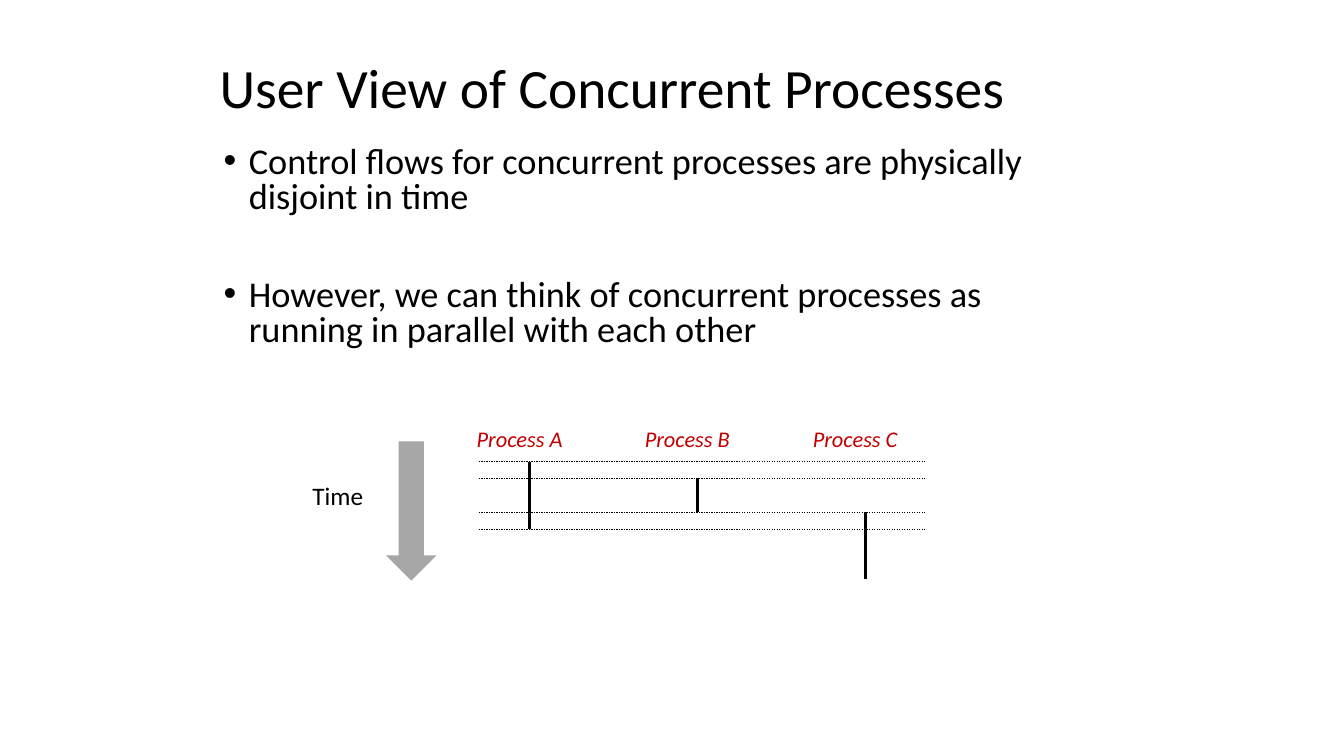
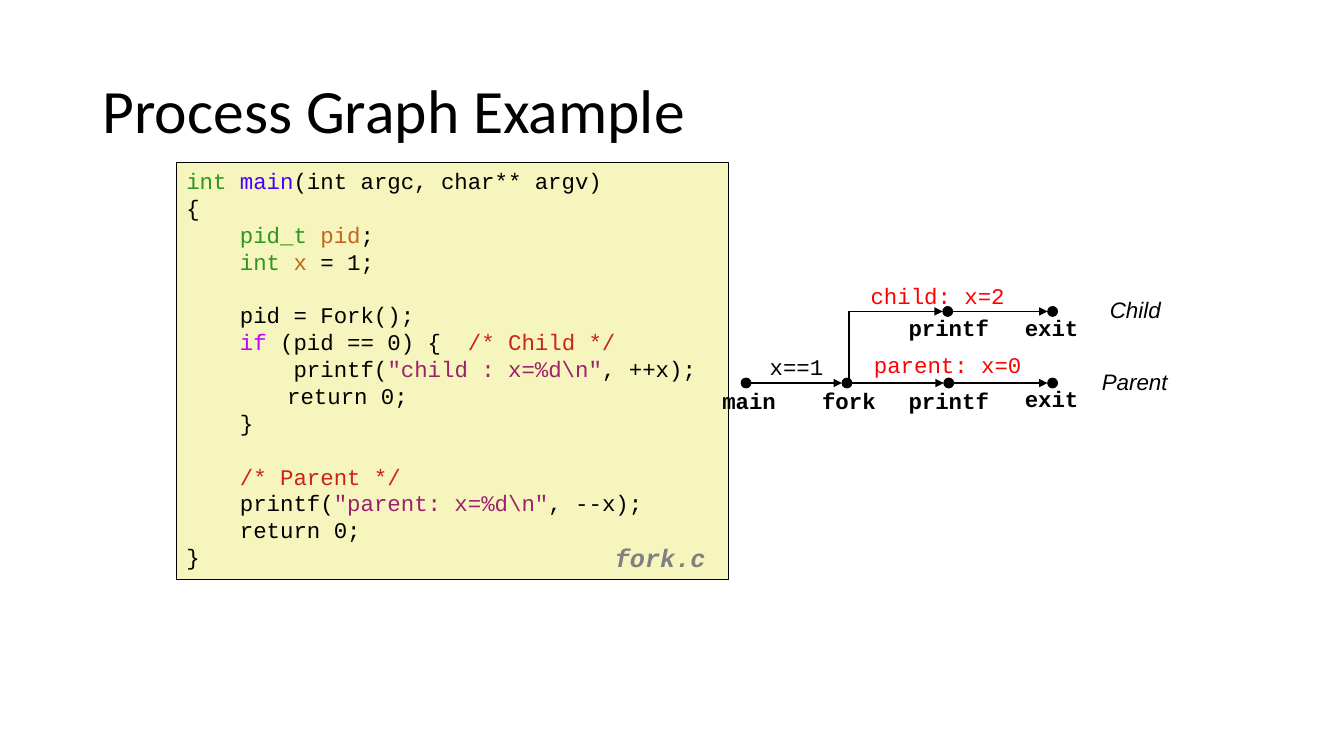
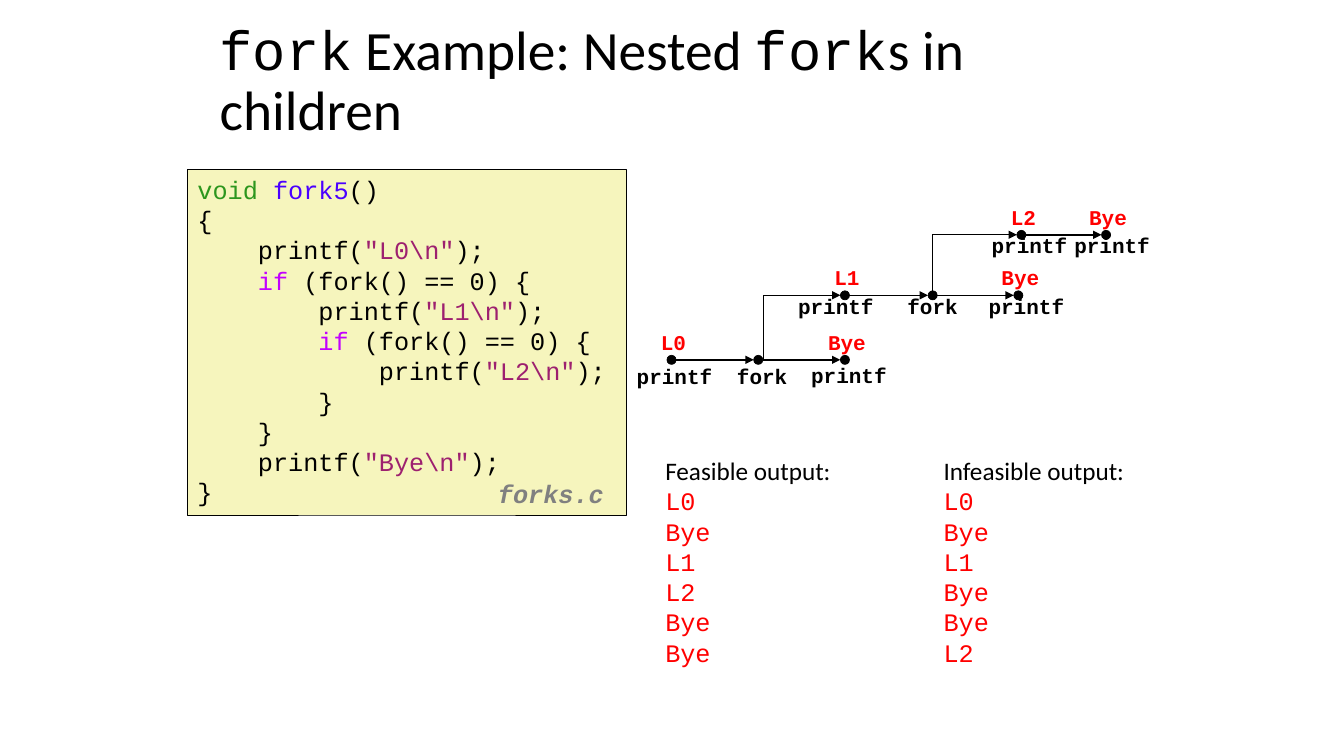
from lxml.etree import SubElement
from pptx import Presentation
from pptx.dml.color import RGBColor
from pptx.enum.dml import MSO_LINE
from pptx.enum.shapes import MSO_CONNECTOR as Link, MSO_SHAPE as Preset
from pptx.enum.text import MSO_ANCHOR as Anchor, PP_ALIGN as Align
from pptx.oxml.ns import qn
from pptx.util import Inches, Pt

SLIDE = (13.33, 7.5)
COLOURS = {
    "black": "000000", "label": "C00000", "arrow": "A6A6A6",
    "paper": "F6F5BD", "file": "808080", "output": "FF0000",
    "type": "2D961E", "function": "4A00FF", "variable": "C1651C",
    "keyword": "C200FF", "comment": "CB2418", "string": "9D206F",
}
SANS, MONO = "Calibri", "Courier New"

# Slide 1
BULLETS = [
    "Control flows for concurrent processes are physically disjoint in time",
    "However, we can think of concurrent processes as running in parallel with each other",
]
PROCESSES = [("Process A", 0, 4), ("Process B", 1, 3), ("Process C", 3, 7)]  # start, end
SWITCHES = [0, 1, 3, 4]
TIME_TOP, TIME_STEP = 4.58, 1 / 6
PROCESS_LEFT, PROCESS_GAP = 5.25, 5 / 3

# Code lines hold plain text or (role, text) pieces
FORK_CODE = [
    [("type", "int "), ("function", "main"), "(int argc, char** argv)"],
    ["{"],
    ["    ", ("type", "pid_t "), ("variable", "pid"), ";"],
    ["    ", ("type", "int "), ("variable", "x"), " = 1;"],
    [],
    ["    pid = Fork();"],
    ["    ", ("keyword", "if"), " (pid == 0) {  ", ("comment", "/* Child */")],
    ["        printf(", ("string", '"child : x=%d\\n"'), ", ++x);"],
    ["\treturn 0;"],
    ["    }"],
    [],
    ["    ", ("comment", "/* Parent */")],
    ["    printf(", ("string", '"parent: x=%d\\n"'), ", --x);"],
    ["    return 0;"],
    ["}"],
]
NESTED_CODE = [
    [("type", "void "), ("function", "fork5"), "()"],
    ["{"],
    ["    printf(", ("string", '"L0\\n"'), ");"],
    ["    ", ("keyword", "if"), " (fork() == 0) {"],
    ["        printf(", ("string", '"L1\\n"'), ");"],
    ["        ", ("keyword", "if"), " (fork() == 0) {"],
    ["            printf(", ("string", '"L2\\n"'), ");"],
    ["        }"],
    ["    }"],
    ["    printf(", ("string", '"Bye\\n"'), ");"],
    ["}"],
]

# Graph nodes: centre x, y, name, name centre x, name top, printed text
FORK_GRAPH = {
    "size": 16, "dot": 0.1,
    "nodes": {
        "main": (7.4, 3.8, "main", 7.43, 3.79, ""),
        "fork": (8.4, 3.8, "fork", 8.42, 3.79, ""),
        "parent": (9.41, 3.8, "printf", 9.41, 3.79, ""),
        "parent exit": (10.44, 3.8, "exit", 10.43, 3.77, ""),
        "child": (9.4, 3.09, "printf", 9.41, 3.07, ""),
        "child exit": (10.44, 3.09, "exit", 10.43, 3.07, ""),
    },
    "edges": [("main", "fork"), ("fork", "parent"), ("parent", "parent exit"),
              ("child", "child exit")],
    "bends": [("fork", "child", 8.42)],
}
NESTED_GRAPH = {
    "size": 15, "dot": 0.09,
    "nodes": {
        "L0": (6.66, 3.57, "printf", 6.69, 3.56, "L0"),
        "fork": (7.52, 3.57, "fork", 7.56, 3.56, ""),
        "bye": (8.38, 3.57, "printf", 8.42, 3.55, "Bye"),
        "L1": (8.38, 2.93, "printf", 8.29, 2.86, "L1"),
        "inner fork": (9.25, 2.93, "fork", 9.25, 2.86, ""),
        "inner bye": (10.1, 2.93, "printf", 10.18, 2.86, "Bye"),
        "L2": (10.13, 2.33, "printf", 10.21, 2.26, "L2"),
        "last bye": (10.97, 2.33, "printf", 11.03, 2.26, "Bye"),
    },
    "edges": [("L0", "fork"), ("fork", "bye"), ("L1", "inner fork"),
              ("inner fork", "inner bye"), ("L2", "last bye")],
    "bends": [("fork", "L1", 7.57), ("inner fork", "L2", 9.25)],
}
EDGE_NOTES = [("child: x=2", 9.3, 2.75, "output"), ("x==1", 7.9, 3.45, "black"),
              ("parent: x=0", 9.4, 3.43, "output")]
BRANCHES = [("Child", 10.91, 2.89), ("Parent", 10.83, 3.6)]
OUTPUTS = [
    ("Feasible output:", 6.5, ["L0", "Bye", "L1", "L2", "Bye", "Bye"]),
    ("Infeasible output:", 9.26, ["L0", "Bye", "L1", "Bye", "Bye", "L2"]),
]


def colour(name):
    return RGBColor.from_string(COLOURS[name])


def add_span(para, text, size, name=SANS, tint="black", **extra):
    span = para.add_run()
    span.text = text
    span.font.color.rgb = colour(tint)
    for key, value in {"size": Pt(size), "name": name, **extra}.items():
        setattr(span.font, key, value)


def next_para(frame, index, **layout):
    para = frame.add_paragraph() if index else frame.paragraphs[0]
    for key, value in layout.items():
        setattr(para, key, value)
    return para


def add_box(page, *place, wrap=True, anchor=Anchor.TOP):
    frame = page.shapes.add_textbox(*map(Inches, place)).text_frame
    frame.word_wrap, frame.vertical_anchor = wrap, anchor
    return frame


def add_label(page, text, left, top, size, layout=None, **font):
    """One unwrapped line that starts at the left."""
    frame = add_box(page, left, top, 1.4, 0.37, wrap=False)
    add_span(next_para(frame, 0, **(layout or {})), text, size, **font)


def add_centred(page, text, centre, top, size, **font):
    width = 2 if len(text) > 6 else 1.1
    frame = add_box(page, centre - width / 2, top, width, 0.37)
    add_span(next_para(frame, 0, alignment=Align.CENTER), text, size, name=MONO, **font)


def add_title(page, spans, size, *place):
    para = next_para(add_box(page, *place, anchor=Anchor.MIDDLE), 0, line_spacing=0.9)
    for text, font in spans:
        add_span(para, text, size, name=font)


def add_shape(page, preset, place, fill, line=0):
    shape = page.shapes.add_shape(preset, *map(Inches, place))
    shape.shadow.inherit = False
    shape.fill.solid()
    shape.fill.fore_color.rgb = colour(fill)
    if line:
        shape.line.color.rgb = colour("black")
        shape.line.width = Pt(line)
    else:
        shape.line.fill.background()
    return shape


def add_line(page, start, end, width=1, kind=Link.STRAIGHT, dash=None, arrow=False):
    link = page.shapes.add_connector(kind, *map(Inches, (*start, *end)))
    link.line.color.rgb = colour("black")
    link.line.width = Pt(width)
    if dash:
        link.line.dash_style = dash
    props = link._element.spPr
    if arrow:
        SubElement(props.find(qn("a:ln")), qn("a:tailEnd"), type="triangle")
    SubElement(props, qn("a:effectLst"))
    return link


def add_bend(page, start, end):
    """Arrow that goes up, then right: a one-corner connector turned a quarter."""
    (x1, y1), (x2, y2) = start, end
    middle_x, middle_y = (x1 + x2) / 2, (y1 + y2) / 2
    half_w, half_h = (y1 - y2) / 2, (x2 - x1) / 2
    link = add_line(page, (middle_x + half_w, middle_y + half_h),
                    (middle_x - half_w, middle_y - half_h), kind=Link.ELBOW, arrow=True)
    props = link._element.spPr
    props.find(qn("a:prstGeom")).set("prst", "bentConnector2")
    props.find(qn("a:xfrm")).set("rot", str(90 * 60000))


def add_code(page, lines, size, place, file_name, file_left, file_top):
    frame = add_shape(page, Preset.RECTANGLE, place, "paper", 0.25).text_frame
    frame.word_wrap, frame.vertical_anchor = False, Anchor.TOP
    for index, line in enumerate(lines):
        para = next_para(frame, index, alignment=Align.LEFT)
        tabs = SubElement(para._p.get_or_add_pPr(), qn("a:tabLst"))
        SubElement(tabs, qn("a:tab"), pos=str(Inches(1)), algn="l")
        for piece in line:
            tint, text = ("black", piece) if isinstance(piece, str) else piece
            add_span(para, text, size, name=MONO, tint=tint)
        if not line:
            end = SubElement(para._p, qn("a:endParaRPr"), sz=str(size * 100))
            SubElement(end, qn("a:latin"), typeface=MONO)
    add_label(page, file_name, file_left, file_top, 18, {"line_spacing": 0.94},
              name=MONO, tint="file", bold=True, italic=True)


def add_graph(page, graph):
    nodes, dot, size = graph["nodes"], graph["dot"], graph["size"]
    radius = dot / 2
    for x, y, name, name_x, name_top, printed in nodes.values():
        add_shape(page, Preset.OVAL, (x - radius, y - radius, dot, dot), "black", 0.5)
        add_centred(page, name, name_x, name_top, size, bold=True)
        if printed:
            add_centred(page, printed, x + 0.02, y - 0.35, size, tint="output", bold=True)
    for source, target in graph["edges"]:
        (x1, y1), (x2, y2) = nodes[source][:2], nodes[target][:2]
        add_line(page, (x1 + radius, y1), (x2 - radius, y2), arrow=True)
    for source, target, bend_x in graph["bends"]:
        x2, y2 = nodes[target][:2]
        add_bend(page, (bend_x, nodes[source][1]), (x2 - radius, y2))


def build_user_view(page):
    add_title(page, [("User View of Concurrent Processes", SANS)], 39.6,
              2.08, 0.58, 9.25, 0.63)
    body = add_box(page, 2.12, 1.41, 8.64, 2.18)
    for index, text in enumerate(BULLETS):
        para = next_para(body, index, line_spacing=0.8, space_before=Pt(45 * index))
        props = para._p.get_or_add_pPr()
        props.set("marL", str(Inches(0.25)))
        props.set("indent", str(-Inches(0.25)))
        SubElement(props, qn("a:buFont"), typeface="Arial")
        SubElement(props, qn("a:buChar"), char="•")
        add_span(para, text, 25.9)

    add_label(page, "Time", 3, 4.72, 18)
    add_shape(page, Preset.DOWN_ARROW, (3.83, 4.38, 0.5, 1.38), "arrow")
    for tick in SWITCHES:
        y = TIME_TOP + tick * TIME_STEP
        add_line(page, (4.75, y), (9.17, y), 0.25, dash=MSO_LINE.DASH)
    for column, (name, start, end) in enumerate(PROCESSES):
        x = PROCESS_LEFT + column * PROCESS_GAP
        add_label(page, name, x - 0.62, 4.17, 16, tint="label", italic=True)
        add_line(page, (x, TIME_TOP + start * TIME_STEP), (x, TIME_TOP + end * TIME_STEP), 2)


def build_process_graph(page):
    add_title(page, [("Process Graph Example", SANS)], 44, 0.92, 0.4, 11.5, 1.45)
    add_code(page, FORK_CODE, 16, (1.75, 1.61, 5.47, 4.14), "fork.c", 6, 5.36)
    add_graph(page, FORK_GRAPH)
    for text, centre, top, tint in EDGE_NOTES:
        add_centred(page, text, centre, top, 16, tint=tint)
    for text, left, top in BRANCHES:
        add_label(page, text, left, top, 16, name="Arial", italic=True)


def build_nested_forks(page):
    add_title(page, [("fork", MONO), (" Example: Nested ", SANS), ("fork", MONO),
                     ("s in children", SANS)], 39.6, 2.08, 0.5, 9.22, 0.63)
    add_code(page, NESTED_CODE, 18, (1.86, 1.68, 4.35, 3.43), "forks.c", 4.84, 4.72)
    add_graph(page, NESTED_GRAPH)
    for heading, left, lines in OUTPUTS:
        frame = add_box(page, left, 4.47, 2.07, 2.22)
        add_span(next_para(frame, 0), heading, 18)
        for index, line in enumerate(lines, 1):
            add_span(next_para(frame, index), line, 18, name=MONO, tint="output")


def main():
    deck = Presentation()
    deck.slide_width, deck.slide_height = map(Inches, SLIDE)
    for build in (build_user_view, build_process_graph, build_nested_forks):
        build(deck.slides.add_slide(deck.slide_layouts[6]))
    deck.save("out.pptx")


if __name__ == "__main__":
    main()
